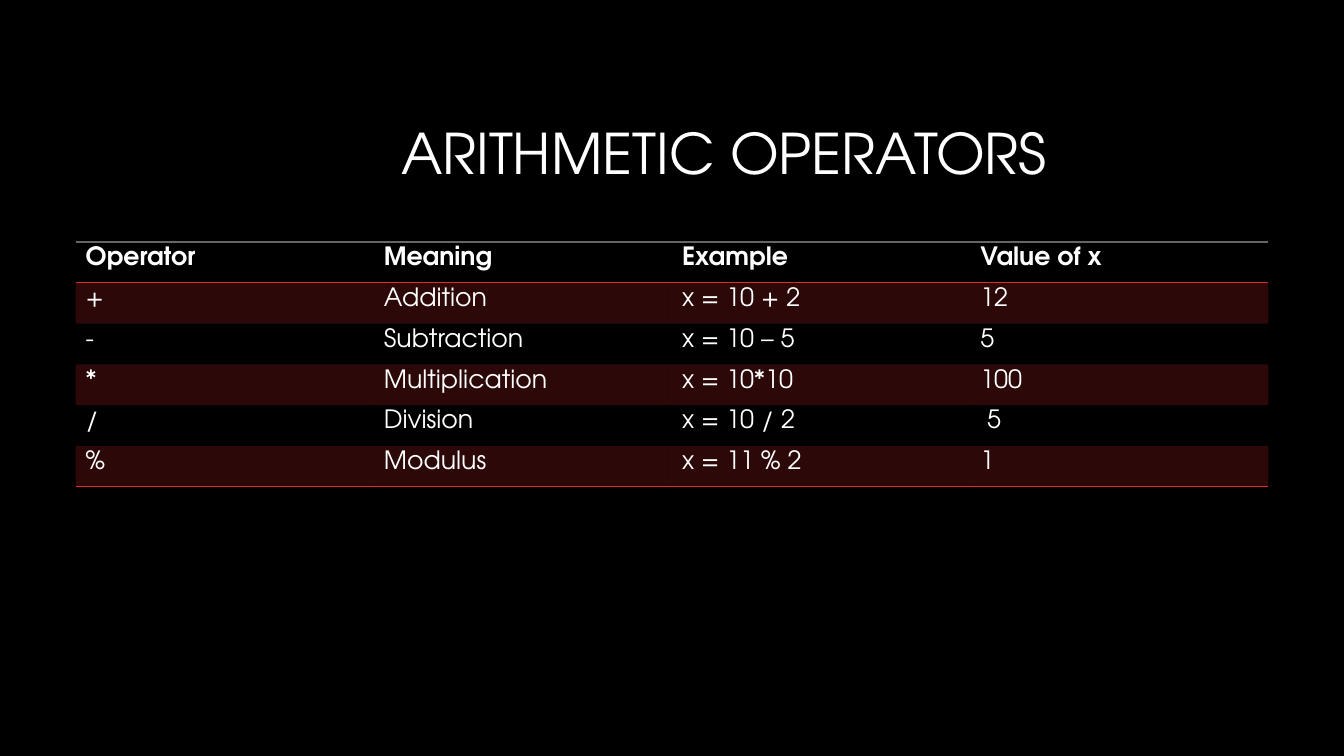
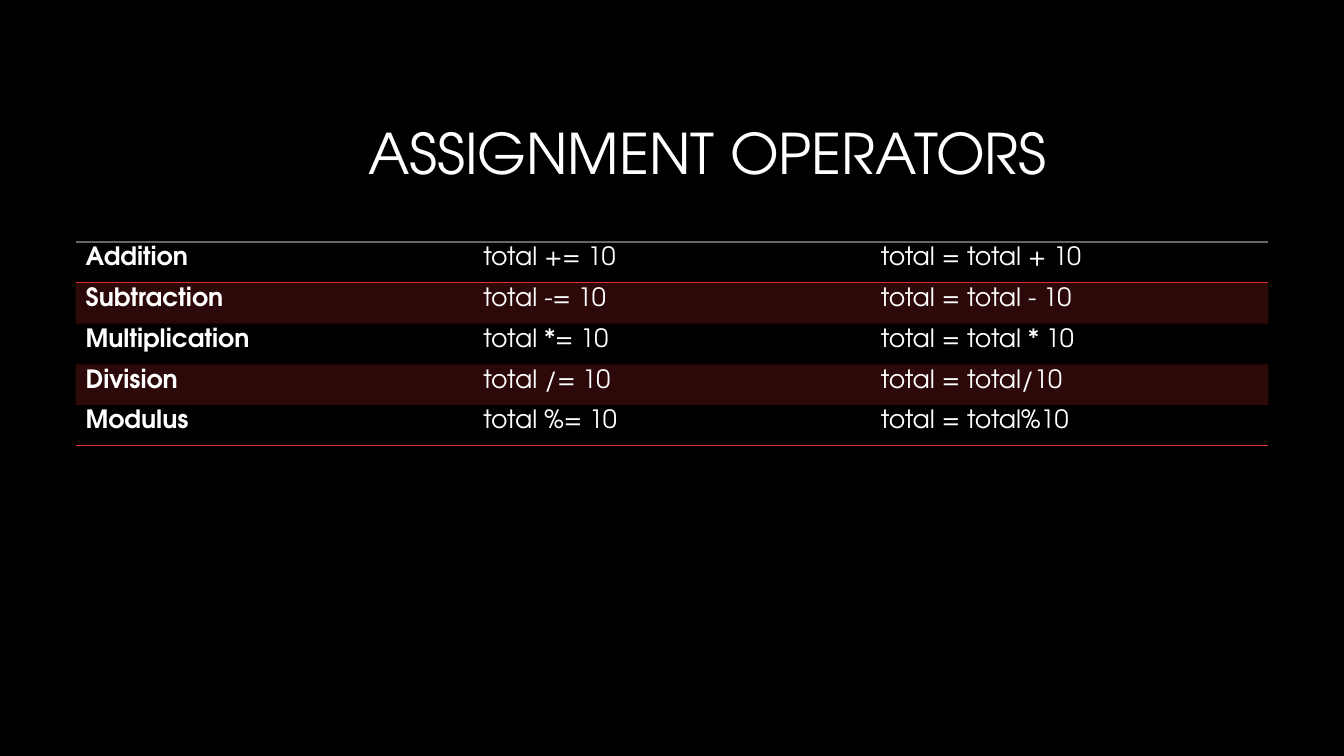
from lxml.etree import SubElement
from pptx import Presentation
from pptx.dml.color import RGBColor
from pptx.enum.text import MSO_ANCHOR, PP_ALIGN
from pptx.oxml.ns import qn
from pptx.util import Inches, Pt

# Content: title, which part is bold, table rows
SLIDES = [
    ("ARITHMETIC OPERATORS", "row", [
        ("Operator", "Meaning", "Example", "Value of x"),
        ("+", "Addition", "x = 10 + 2", "12"),
        ("-", "Subtraction", "x = 10 – 5", "5"),
        ("*", "Multiplication", "x = 10*10", "100"),
        ("/", "Division", "x = 10 / 2", " 5"),
        ("%", "Modulus", "x = 11 % 2", "1"),
    ]),
    ("ASSIGNMENT OPERATORS", "column", [
        ("Addition", "total += 10", "total = total + 10"),
        ("Subtraction", "total -= 10", "total = total - 10"),
        ("Multiplication", "total *= 10", "total = total * 10"),
        ("Division", "total /= 10", "total = total/10"),
        ("Modulus", "total %= 10", "total = total%10"),
    ]),
]

# Shared style
FONT = "TeX Gyre Adventor"
BLACK, WHITE, RED, GREY = "000000", "FFFFFF", "DF2E28", "666666"
PLAIN = "{2D5ABB26-0587-4C30-8999-92F81FD0307C}"
WIDE, HIGH = 13.33, 7.5
LEFT, TOP, ROW = 0.75, 2.4, 0.405
SPAN = WIDE - 2 * LEFT


def paint(fill, color):
    fill.solid()
    fill.fore_color.rgb = RGBColor.from_string(color)


def style(para, size, bold=False):
    font = para.font
    font.name, font.size, font.bold = FONT, Pt(size), bold
    font.color.rgb = RGBColor.from_string(WHITE)


def rule(cell, side, color):
    line = SubElement(cell._tc.get_or_add_tcPr(), qn("a:ln" + side), w=str(Pt(1)))
    SubElement(SubElement(line, qn("a:solidFill")), qn("a:srgbClr"), val=color)


def tint(cell, color, share):
    paint(cell.fill, color)
    tone = cell._tc.tcPr.find(".//" + qn("a:solidFill") + "[last()]")
    for fill in cell._tc.tcPr.findall(qn("a:solidFill")):
        tone = fill.find(qn("a:srgbClr"))
    SubElement(tone, qn("a:alpha"), val=str(share * 1000))


def head(slide, text):
    title = slide.shapes.title
    title.left, title.top = Inches(1.06), Inches(0.85)
    title.width, title.height = Inches(9.42), Inches(1.41)
    frame = title.text_frame
    frame.text = text
    frame.word_wrap = True
    frame.vertical_anchor = MSO_ANCHOR.MIDDLE
    para = frame.paragraphs[0]
    para.alignment, para.line_spacing = PP_ALIGN.RIGHT, 0.9
    style(para, 40)


def grid(slide, rows, strong):
    count, cols = len(rows), len(rows[0])
    table = slide.shapes.add_table(
        count, cols, Inches(LEFT), Inches(TOP), Inches(SPAN), Inches(ROW * count)).table
    table.first_row = table.horz_banding = False
    table._tbl.tblPr.find(qn("a:tableStyleId")).text = PLAIN
    for r, row in enumerate(rows):
        for c, text in enumerate(row):
            cell = table.cell(r, c)
            cell.text = text
            style(cell.text_frame.paragraphs[0], 18, (r if strong == "row" else c) == 0)
            # Rules above and below the first row, and below the last
            if r == 0:
                rule(cell, "T", GREY)
            if r in (0, count - 1):
                rule(cell, "B", RED)
            # Every other row is tinted
            if r % 2:
                tint(cell, RED, 20)
            else:
                cell.fill.background()


# Build the slides
deck = Presentation()
deck.slide_width, deck.slide_height = Inches(WIDE), Inches(HIGH)
paint(deck.slide_master.background.fill, BLACK)
for name, strong, rows in SLIDES:
    slide = deck.slides.add_slide(deck.slide_layouts[5])
    head(slide, name)
    grid(slide, rows, strong)
deck.save("out.pptx")
